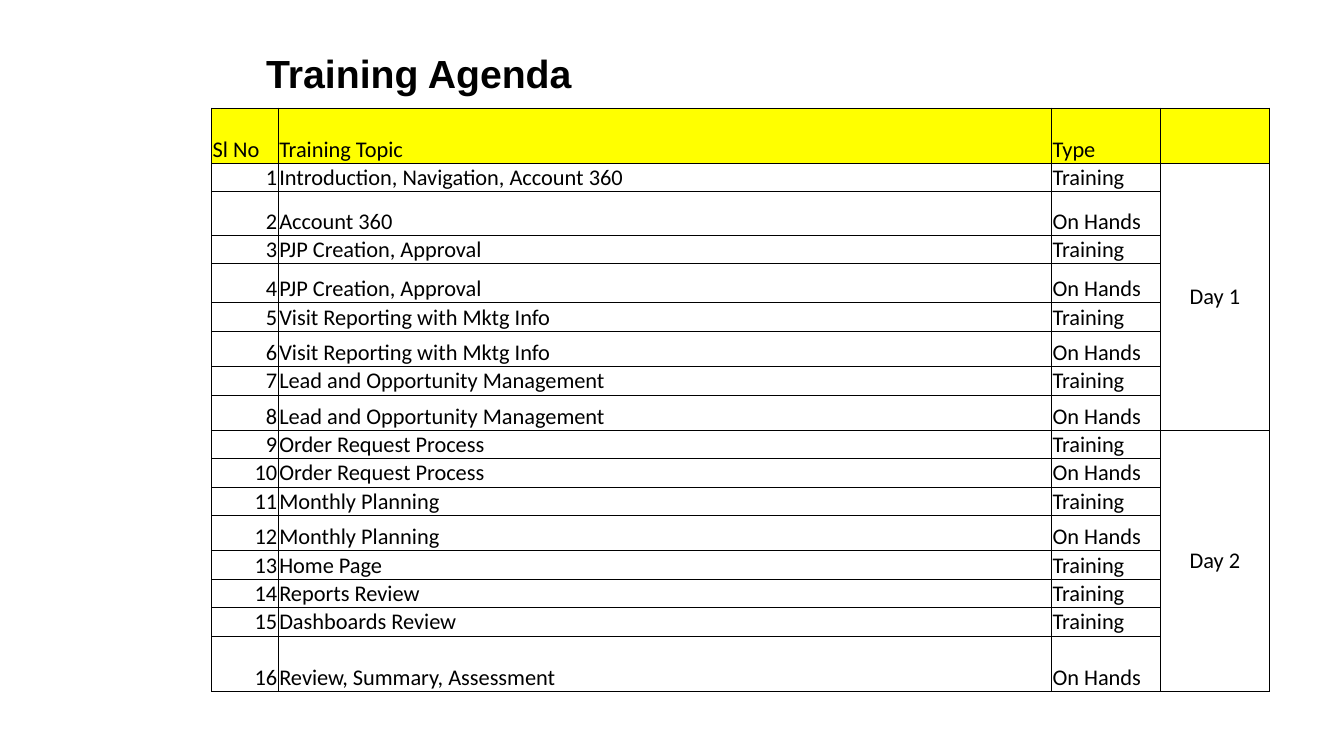
from dataclasses import dataclass

from lxml.etree import SubElement
from pptx import Presentation
from pptx.dml.color import RGBColor
from pptx.enum.text import MSO_ANCHOR as Anchor, PP_ALIGN as Align
from pptx.oxml.ns import qn
from pptx.util import Inches, Pt

TITLE = "Training Agenda"
HEADINGS = ("Sl No", "Training Topic", "Type", "")
# Topic, type, row height in inches
SESSIONS = [
    ("Introduction, Navigation, Account 360", "Training", 0.28),
    ("Account 360", "On Hands", 0.43),
    ("PJP Creation, Approval", "Training", 0.28),
    ("PJP Creation, Approval", "On Hands", 0.39),
    ("Visit Reporting with Mktg Info", "Training", 0.28),
    ("Visit Reporting with Mktg Info", "On Hands", 0.35),
    ("Lead and Opportunity Management", "Training", 0.28),
    ("Lead and Opportunity Management", "On Hands", 0.35),
    ("Order Request Process", "Training", 0.28),
    ("Order Request Process", "On Hands", 0.28),
    ("Monthly Planning", "Training", 0.28),
    ("Monthly Planning", "On Hands", 0.35),
    ("Home Page", "Training", 0.28),
    ("Reports Review", "Training", 0.28),
    ("Dashboards Review", "Training", 0.28),
    ("Review, Summary, Assessment", "On Hands", 0.55),
]
DAYS = ("Day 1", "Day 2")
SESSIONS_PER_DAY = len(SESSIONS) // len(DAYS)

HEADER_HEIGHT = 0.55
COLUMN_WIDTHS = (0.66, 7.67, 1.08, 1.08)
COLUMN_ALIGNS = (Align.RIGHT, Align.LEFT, Align.LEFT, Align.CENTER)
DAY_COLUMN = len(HEADINGS) - 1
TABLE_LEFT, TABLE_TOP = 2.1, 1.07
TITLE_BOX = {"left": 2.54, "top": 0.44, "width": 10.58, "height": 0.57}
CELL_MARGINS = {"margin_left": 0.01, "margin_right": 0.01,
                "margin_top": 0.01, "margin_bottom": 0}


@dataclass(frozen=True)
class Theme:
    ink: str = "000000"
    header_fill: str = "FFFF00"
    title_font: str = "Arial"
    body_font: str = "Calibri"
    title_size: int = 28
    body_size: int = 16
    border_width: float = 0.5


THEME = Theme()
TITLE_FORMAT = {"name": THEME.title_font, "size": Pt(THEME.title_size), "bold": True}
BODY_FORMAT = {"name": THEME.body_font, "size": Pt(THEME.body_size)}


def set_attributes(target, values):
    for name, value in values.items():
        setattr(target, name, value)


def set_lengths(target, lengths):
    set_attributes(target, {name: Inches(value) for name, value in lengths.items()})


def write(paragraph, text, font_format, align):
    paragraph.alignment = align
    run = paragraph.add_run()
    run.text = text
    set_attributes(run.font, font_format)
    run.font.color.rgb = RGBColor.from_string(THEME.ink)


def add_borders(cell):
    """Outline all four sides; the lines must precede the fill in the cell XML."""
    properties = cell._tc.get_or_add_tcPr()
    for position, side in enumerate(("lnL", "lnR", "lnT", "lnB")):
        line = SubElement(properties, qn(f"a:{side}"), w=str(Pt(THEME.border_width)))
        fill = SubElement(line, qn("a:solidFill"))
        SubElement(fill, qn("a:srgbClr"), val=THEME.ink)
        properties.insert(position, line)


def add_title(slide):
    title = slide.shapes.title
    set_lengths(title, TITLE_BOX)
    title.text_frame.vertical_anchor = Anchor.MIDDLE
    write(title.text_frame.paragraphs[0], TITLE, TITLE_FORMAT, Align.LEFT)


def agenda_rows():
    yield HEADINGS
    for index, (topic, kind, _) in enumerate(SESSIONS):
        day, position = divmod(index, SESSIONS_PER_DAY)
        yield str(index + 1), topic, kind, "" if position else DAYS[day]


def add_agenda(slide):
    heights = [HEADER_HEIGHT] + [height for _, _, height in SESSIONS]
    agenda = slide.shapes.add_table(
        len(heights), len(COLUMN_WIDTHS), Inches(TABLE_LEFT), Inches(TABLE_TOP),
        Inches(sum(COLUMN_WIDTHS)), Inches(sum(heights))).table
    set_attributes(agenda, {"first_row": False, "horz_banding": False})
    for column, width in zip(agenda.columns, COLUMN_WIDTHS):
        column.width = Inches(width)
    for row, height in zip(agenda.rows, heights):
        row.height = Inches(height)

    for row_index, texts in enumerate(agenda_rows()):
        is_header = row_index == 0
        for column_index, text in enumerate(texts):
            cell = agenda.cell(row_index, column_index)
            set_lengths(cell, CELL_MARGINS)
            in_day_block = column_index == DAY_COLUMN and not is_header
            cell.vertical_anchor = Anchor.MIDDLE if in_day_block else Anchor.BOTTOM
            align = Align.LEFT if is_header else COLUMN_ALIGNS[column_index]
            write(cell.text_frame.paragraphs[0], text, BODY_FORMAT, align)
            if is_header:
                cell.fill.solid()
                cell.fill.fore_color.rgb = RGBColor.from_string(THEME.header_fill)
            else:
                cell.fill.background()
            add_borders(cell)

    for day in range(len(DAYS)):
        first = 1 + day * SESSIONS_PER_DAY
        last = first + SESSIONS_PER_DAY - 1
        agenda.cell(first, DAY_COLUMN).merge(agenda.cell(last, DAY_COLUMN))


def main():
    deck = Presentation()
    set_lengths(deck, {"slide_width": 13.33, "slide_height": 7.5})
    slide = deck.slides.add_slide(deck.slide_layouts.get_by_name("Title Only"))
    add_title(slide)
    add_agenda(slide)
    deck.save("out.pptx")


if __name__ == "__main__":
    main()
